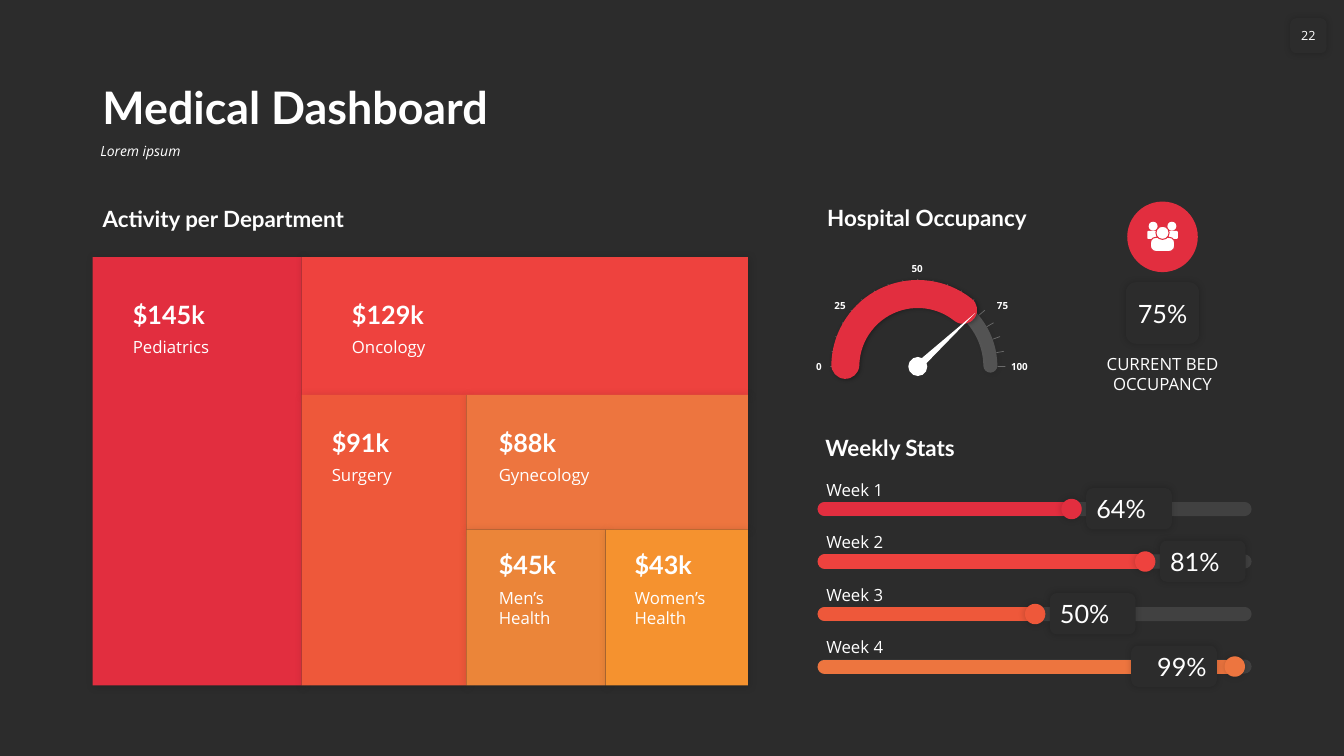
from collections import namedtuple
from math import cos, radians, sin

from lxml.etree import SubElement
from pptx import Presentation
from pptx.dml.color import RGBColor
from pptx.enum.shapes import MSO_CONNECTOR, MSO_SHAPE as Shape
from pptx.enum.text import MSO_ANCHOR as Anchor, MSO_AUTO_SIZE, PP_ALIGN as Align
from pptx.oxml.ns import qn
from pptx.util import Pt

DARK = RGBColor(0x2C, 0x2C, 0x2C)
WHITE = RGBColor(0xFF, 0xFF, 0xFF)
CRIMSON = RGBColor(0xE2, 0x2E, 0x3F)
RED = RGBColor(0xEE, 0x42, 0x3E)
VERMILION = RGBColor(0xEE, 0x58, 0x3A)
ORANGE = RGBColor(0xED, 0x75, 0x3F)
AMBER = RGBColor(0xEB, 0x85, 0x39)
GOLD = RGBColor(0xF5, 0x92, 0x2F)
HEADING_FONT, BODY_FONT = "Lato", "Open Sans"

Box = namedtuple("Box", "left top width height")


def write(shape, text, size, font=BODY_FONT, bold=False, italic=False,
          align=Align.LEFT, anchor=Anchor.TOP, inset=7.2):
    frame = shape.text_frame
    frame.text = text
    frame.word_wrap = True
    frame.auto_size = MSO_AUTO_SIZE.NONE
    frame.vertical_anchor = anchor
    frame.margin_left = frame.margin_right = Pt(inset)
    frame.margin_top = frame.margin_bottom = Pt(min(inset, 3.6))
    paragraph = frame.paragraphs[0]
    paragraph.alignment = align
    style = paragraph.runs[0].font
    style.name, style.size, style.bold, style.italic = font, Pt(size), bold, italic
    style.color.rgb = WHITE
    return paragraph


def add_text(slide, box, text, size, **options):
    textbox = slide.shapes.add_textbox(*map(Pt, box))
    return write(textbox, text, size, **options)


def add_heading(slide, left, top, text):
    add_text(slide, Box(left, top, 312, 26.5), text, 16, font=HEADING_FONT,
             bold=True, anchor=Anchor.BOTTOM)


def add_shadow(shape, opacity, blur, distance=0):
    effects = shape.element.spPr.find(qn("a:effectLst"))
    shadow = SubElement(effects, qn("a:outerShdw"), blurRad=str(Pt(blur)),
                        dist=str(Pt(distance)), dir="2700000", rotWithShape="0")
    color = SubElement(shadow, qn("a:srgbClr"), val="000000")
    SubElement(color, qn("a:alpha"), val=str(opacity * 1000))


def add_filled(slide, kind, box, color, outline=None, shadow=None):
    shape = slide.shapes.add_shape(kind, *map(Pt, box))
    shape.shadow.inherit = False
    shape.fill.solid()
    shape.fill.fore_color.rgb = color
    if outline is None:
        shape.line.fill.background()
    else:
        shape.line.color.rgb = outline
        shape.line.width = Pt(0.75)
    if shadow:
        add_shadow(shape, *shadow)
    return shape


def add_disc(slide, x, y, radius, color, **options):
    box = Box(x - radius, y - radius, 2 * radius, 2 * radius)
    return add_filled(slide, Shape.OVAL, box, color, **options)


def add_card(slide, box, text, size, **options):
    card = add_filled(slide, Shape.ROUNDED_RECTANGLE, box, DARK, shadow=(20, 5))
    write(card, text, size, anchor=Anchor.MIDDLE, **options)


def style_line(shape, color, width, opacity=100, cap="rnd"):
    shape.line.color.rgb = color
    shape.line.width = Pt(width)
    outline = shape.element.spPr.find(qn("a:ln"))
    outline.set("cap", cap)
    if opacity < 100:
        rgb = outline.find(qn("a:solidFill")).find(qn("a:srgbClr"))
        SubElement(rgb, qn("a:alpha"), val=str(opacity * 1000))


def add_line(slide, start, end, color, width, opacity=100, cap="rnd"):
    line = slide.shapes.add_connector(MSO_CONNECTOR.STRAIGHT, *map(Pt, start + end))
    style_line(line, color, width, opacity, cap)
    SubElement(line.element.spPr, qn("a:effectLst"))


def add_header(slide, box):
    title = slide.shapes.title
    title.left, title.top, title.width, title.height = map(Pt, box)
    paragraph = write(title, "Medical Dashboard", 32, font=HEADING_FONT, bold=True,
                      anchor=Anchor.BOTTOM)
    paragraph.line_spacing = 0.9
    subtitle = Box(box.left - 1.4, box.top + 57.6, box.width, 26)
    add_text(slide, subtitle, "Lorem ipsum", 10, italic=True).line_spacing = 0.9
    # Page number
    add_card(slide, Box(box.left + 855.6, 13, 26, 25), "22", 9,
             align=Align.CENTER, inset=0)


def add_treemap(slide, box):
    add_heading(slide, box.left, box.top - 41, "Activity per Department")
    columns = [box.left + offset for offset in (0, 149.3, 267, 366.5, box.width)]
    rows = [box.top + offset for offset in (0, 98.5, 194.7, box.height)]
    # Column span, row span, colour, amount, name, label offset and width
    departments = [
        (0, 1, 0, 3, CRIMSON, "$145k", "Pediatrics", 21.6, 26, 134),
        (1, 4, 0, 1, RED, "$129k", "Oncology", 28.8, 26, 134),
        (1, 2, 1, 3, VERMILION, "$91k", "Surgery", 14.4, 19, 93),
        (2, 4, 1, 2, ORANGE, "$88k", "Gynecology", 16, 19, 150),
        (2, 3, 2, 3, AMBER, "$45k", "Men’s Health", 16, 10.5, 76),
        (3, 4, 2, 3, GOLD, "$43k", "Women’s Health", 13.5, 10.5, 76),
    ]
    for first, last, upper, lower, color, amount, name, dx, dy, width in departments:
        left, top = columns[first], rows[upper]
        tile = Box(left, top, columns[last] - left, rows[lower] - top)
        add_filled(slide, Shape.RECTANGLE, tile, color, shadow=(15, 6, 1))
        add_text(slide, Box(left + dx, top + dy, width, 29), amount, 18,
                 font=HEADING_FONT, bold=True, anchor=Anchor.BOTTOM)
        add_text(slide, Box(left + dx, top + dy + 27.5, width, 36), name, 12)


def add_gauge(slide, box):
    add_heading(slide, box.left - 20, box.top - 67.7, "Hospital Occupancy")
    radius = box.width / 2
    x, y = box.left + radius, box.top + radius

    def add_arc(start, end, *style):
        arc = slide.shapes.add_shape(Shape.ARC, *map(Pt, box))
        arc.adjustments[0], arc.adjustments[1] = start * 0.6, end * 0.6
        arc.fill.background()
        arc.shadow.inherit = False
        style_line(arc, *style)
        add_shadow(arc, 30, 3, 1)

    def at_angle(degrees, distance):
        angle = radians(degrees)
        return x + distance * sin(angle), y - distance * cos(angle)

    # Track, hub and scale
    add_arc(179.48, 359.3, WHITE, 10, 20)
    add_disc(slide, x, y, 6.8, WHITE)
    for degrees in range(-90, 91, 10):
        add_line(slide, at_angle(degrees, 62.5), at_angle(degrees, 57),
                 WHITE, 0.5, 30, "flat")
    for label, dx, dy in (("0", -70.6, 0), ("25", -55.6, -43.5), ("50", -0.5, -70.3),
                          ("75", 60.5, -43.5), ("100", 72.5, 0)):
        add_text(slide, Box(x + dx - 12, y + dy - 6, 24, 12), label, 7, bold=True,
                 align=Align.CENTER, anchor=Anchor.MIDDLE, inset=0)
    # Value and needle
    add_arc(181.33, 308.66, CRIMSON, 20)
    middle_x, middle_y = at_angle(47, 26.5)
    needle = add_filled(slide, Shape.ISOSCELES_TRIANGLE,
                        Box(middle_x - 2.9, middle_y - 29.5, 5.8, 59), WHITE)
    needle.rotation = 47


def add_occupancy(slide, box):
    x, y = box.left + box.width / 2, box.top + 25.2
    add_card(slide, Box(x - 26.2, box.top + 57.6, 52.4, 44), "75%", 18,
             font=HEADING_FONT, align=Align.CENTER, inset=0)
    add_text(slide, Box(box.left, box.top + 105.8, box.width, 36),
             "CURRENT BED OCCUPANCY", 12, align=Align.CENTER, inset=2.9)
    # People badge
    add_disc(slide, x, y, 25.2, CRIMSON)
    for side in (-1, 1):
        add_disc(slide, x + side * 6.7, y - 7.6, 3.2, WHITE)
        add_filled(slide, Shape.ROUNDED_RECTANGLE,
                   Box(x + side * 7.6 - 3.3, y - 4.3, 6.6, 5.8), WHITE)
    body = add_filled(slide, Shape.ROUNDED_RECTANGLE,
                      Box(x - 8.7, y + 0.3, 17.4, 10.2), WHITE, outline=CRIMSON)
    body.adjustments[0] = 0.4
    add_disc(slide, x, y - 2.9, 4.7, WHITE, outline=CRIMSON)


def add_weekly_stats(slide, box):
    add_heading(slide, box.left - 6.5, box.top, "Weekly Stats")
    weeks = [("64%", 176.4, CRIMSON), ("81%", 229, RED),
             ("50%", 150.4, VERMILION), ("99%", 293, ORANGE)]
    for index, (value, reach, color) in enumerate(weeks):
        y = box.top + 57.6 + index * 37.5
        knob = box.left + reach
        add_text(slide, Box(box.left - 5.8, y - 24.5, 140, 21.5), f"Week {index + 1}",
                 12, anchor=Anchor.BOTTOM)
        add_line(slide, (box.left, y), (box.left + box.width, y), WHITE, 10, 10)
        add_line(slide, (box.left, y), (knob, y), color, 10)
        add_disc(slide, knob, y, 7.3, color, shadow=(20, 5))
        # The card moves to the left of the knob where the track runs out
        fits = knob + 60 < box.left + box.width
        card_left = knob + 10.5 if fits else knob - 74
        add_card(slide, Box(card_left, y - 15, 61.2, 29.5), value, 18, font=HEADING_FONT,
                 align=Align.LEFT if fits else Align.RIGHT, inset=5.8)


def main():
    presentation = Presentation()
    presentation.slide_width, presentation.slide_height = Pt(960), Pt(540)
    slide = presentation.slides.add_slide(presentation.slide_layouts[5])
    slide.background.fill.solid()
    slide.background.fill.fore_color.rgb = DARK
    add_header(slide, Box(66, 41.8, 828, 57.6))
    add_treemap(slide, Box(66.2, 183.6, 468, 306))
    add_gauge(slide, Box(603.8, 210, 103.6, 103.6))
    add_occupancy(slide, Box(777.4, 144, 106, 142))
    add_weekly_stats(slide, Box(589, 306, 300, 190))
    presentation.save("out.pptx")


if __name__ == "__main__":
    main()
